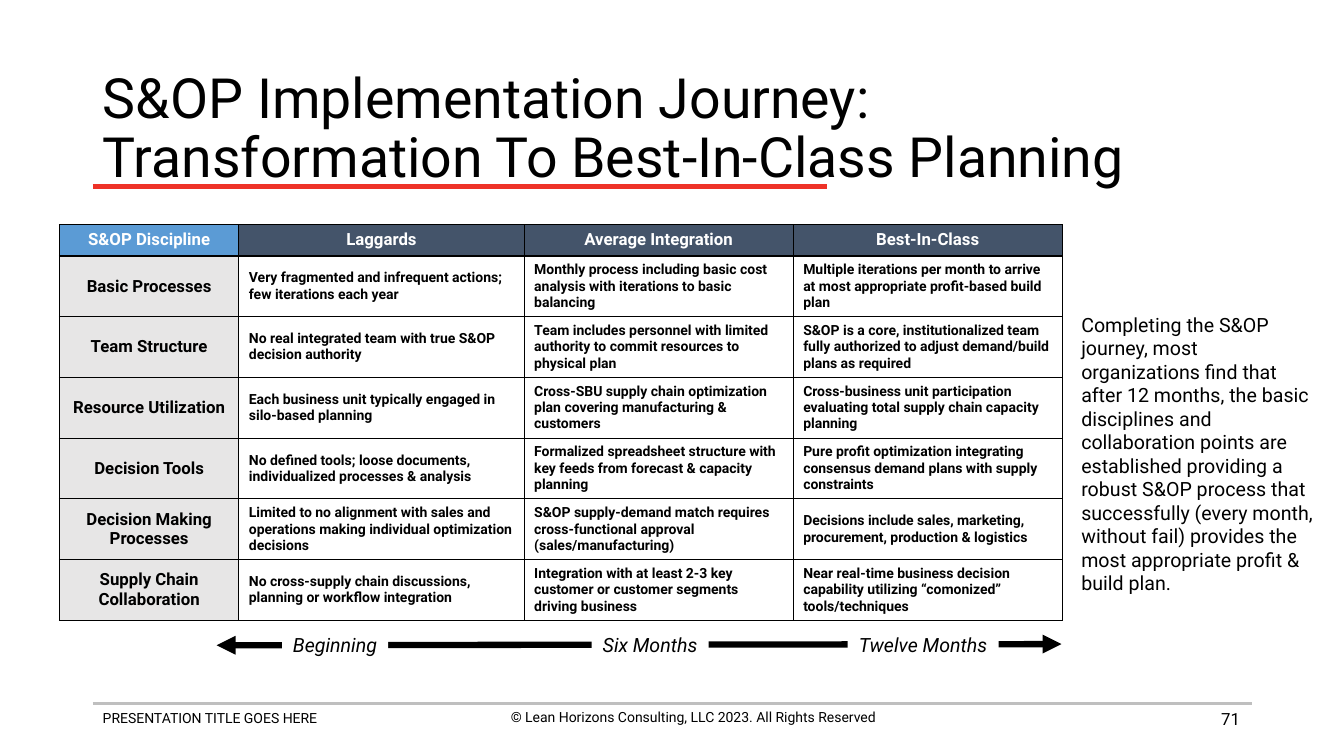
from lxml import etree
from pptx import Presentation
from pptx.dml.color import RGBColor
from pptx.enum import shapes, text
from pptx.oxml.ns import qn
from pptx.util import Cm, Pt

FONT = "Roboto"
COLORS = {"black": "000000", "white": "FFFFFF", "blue": "5B9BD5", "slate": "44546A",
          "pale": "E7E6E6", "rule": "BFBFBF", "red": "EE3228"}
LEFT, CENTER, RIGHT = text.PP_ALIGN.LEFT, text.PP_ALIGN.CENTER, text.PP_ALIGN.RIGHT
TOP, MIDDLE = text.MSO_ANCHOR.TOP, text.MSO_ANCHOR.MIDDLE

TITLE = "S&OP Implementation Journey:\vTransformation To Best-In-Class Planning"
TAKEAWAY = ("Completing the S&OP journey, most organizations find that after 12 months, "
            "the basic disciplines and collaboration points are established providing a "
            "robust S&OP process that successfully (every month, without fail) provides "
            "the most appropriate profit & build plan.")
MATURITY = [
    ("S&OP Discipline", "Laggards", "Average Integration", "Best-In-Class"),
    ("Basic Processes",
     "Very fragmented and infrequent actions; few iterations each year",
     "Monthly process including basic cost analysis with iterations to basic balancing",
     "Multiple iterations per month to arrive at most appropriate profit-based build plan"),
    ("Team Structure",
     "No real integrated team with true S&OP decision authority",
     "Team includes personnel with limited authority to commit resources to physical plan",
     "S&OP is a core, institutionalized team fully authorized to adjust demand/build plans "
     "as required"),
    ("Resource Utilization",
     "Each business unit typically engaged in silo-based planning",
     "Cross-SBU supply chain optimization plan covering manufacturing & customers",
     "Cross-business unit participation evaluating total supply chain capacity planning"),
    ("Decision Tools",
     "No defined tools; loose documents, individualized processes & analysis",
     "Formalized spreadsheet structure with key feeds from forecast & capacity planning",
     "Pure profit optimization integrating consensus demand plans with supply constraints"),
    ("Decision Making Processes",
     "Limited to no alignment with sales and operations making individual optimization "
     "decisions",
     "S&OP supply-demand match requires cross-functional approval (sales/manufacturing)",
     "Decisions include sales, marketing, procurement, production & logistics"),
    ("Supply Chain Collaboration",
     "No cross-supply chain discussions, planning or workflow integration",
     "Integration with at least 2-3 key customer or customer segments driving business",
     "Near real-time business decision capability utilizing “comonized” tools/techniques"),
]
COLUMN_WIDTHS = (4.52, 7.19, 6.78, 6.78)
HEADER_HEIGHT, ROW_HEIGHT = 0.79, 1.53
# wording, left, width
MILESTONES = [("Beginning", 7.11, 2.67), ("Six Months", 14.91, 2.95),
              ("Twelve Months", 21.36, 3.81)]
# wording, (left, top, width, height), size, alignment, anchor
TEXTS = [
    ("PRESENTATION TITLE GOES HERE", (2.34, 17.75, 11.58, 1.12), 10, LEFT, TOP),
    ("© Lean Horizons Consulting, LLC 2023. All Rights Reserved",
     (11.68, 17.73, 11.58, 1.12), 10, CENTER, TOP),
    ("71", (23.88, 17.6, 7.62, 1.02), 12, RIGHT, MIDDLE),
    (TAKEAWAY, (27, 7.75, 6.43, 7.44), 14, LEFT, TOP),
]


def rgb(name):
    return RGBColor.from_string(COLORS[name])


def style(paragraph, size, color="black", align=LEFT, bold=False, italic=False):
    paragraph.alignment = align
    font = paragraph.font
    font.name, font.size, font.bold, font.italic = FONT, Pt(size), bold, italic
    font.color.rgb = rgb(color)


def add_line(slide, start, end, color, width, arrows=False):
    line = slide.shapes.add_connector(
        shapes.MSO_CONNECTOR.STRAIGHT, *(Cm(v) for v in start + end))
    line.line.color.rgb = rgb(color)
    line.line.width = Pt(width)
    properties = line._element.spPr
    if arrows:
        outline = properties.find(qn("a:ln"))
        for tag in ("a:headEnd", "a:tailEnd"):
            etree.SubElement(outline, qn(tag), type="triangle")
    etree.SubElement(properties, qn("a:effectLst"))


def add_borders(cell):
    """Draw a 1 pt black line on all four sides of a cell."""
    properties = cell._tc.get_or_add_tcPr()
    for position, tag in enumerate(("a:lnL", "a:lnR", "a:lnT", "a:lnB")):
        border = etree.Element(qn(tag), w=str(Pt(1)))
        fill = etree.SubElement(border, qn("a:solidFill"))
        etree.SubElement(fill, qn("a:srgbClr"), val=COLORS["black"])
        properties.insert(position, border)


def add_maturity_table(slide):
    heights = [HEADER_HEIGHT] + [ROW_HEIGHT] * (len(MATURITY) - 1)
    table = slide.shapes.add_table(
        len(heights), len(COLUMN_WIDTHS), Cm(1.5), Cm(5.66),
        Cm(sum(COLUMN_WIDTHS)), Cm(sum(heights))).table
    for column, width in zip(table.columns, COLUMN_WIDTHS):
        column.width = Cm(width)
    for r, (wordings, height) in enumerate(zip(MATURITY, heights)):
        table.rows[r].height = Cm(height)
        for c, wording in enumerate(wordings):
            cell = table.cell(r, c)
            cell.text = wording
            header, label = r == 0, r == 0 or c == 0
            cell.vertical_anchor = TOP if header else MIDDLE
            style(cell.text_frame.paragraphs[0], 12 if label else 10,
                  "white" if header else "black", CENTER if label else LEFT, bold=True)
            if label:
                cell.fill.solid()
                first, other = ("blue", "slate") if header else ("pale", "pale")
                cell.fill.fore_color.rgb = rgb(other if c else first)
            else:
                cell.fill.background()
            add_borders(cell)


def add_milestone(slide, wording, left, width):
    box = slide.shapes.add_shape(
        shapes.MSO_SHAPE.RECTANGLE, Cm(left), Cm(15.93), Cm(width), Cm(0.74))
    box.shadow.inherit = False
    box.fill.solid()
    box.fill.fore_color.rgb = rgb("white")
    box.line.fill.background()
    frame = box.text_frame
    frame.text = wording
    frame.word_wrap = False
    frame.vertical_anchor = TOP
    frame.paragraphs[0].line_spacing = 0.8
    style(frame.paragraphs[0], 14, align=CENTER, italic=True)


def main():
    deck = Presentation()
    deck.slide_width, deck.slide_height = Cm(33.87), Cm(19.05)
    slide = deck.slides.add_slide(deck.slide_layouts[5])

    title = slide.shapes.title
    title.left, title.top, title.width, title.height = Cm(2.34), Cm(1.88), Cm(29.21), Cm(2.79)
    title.text_frame.text = TITLE
    title.text_frame.auto_size = text.MSO_AUTO_SIZE.NONE
    title.text_frame.vertical_anchor = MIDDLE
    title.text_frame.paragraphs[0].line_spacing = 0.9
    style(title.text_frame.paragraphs[0], 39.6)

    add_line(slide, (2.34, 17.73), (31.55, 17.73), "rule", 2)
    add_line(slide, (2.34, 4.7), (20.83, 4.7), "red", 3)

    for wording, place, size, align, anchor in TEXTS:
        frame = slide.shapes.add_textbox(*(Cm(v) for v in place)).text_frame
        frame.text = wording
        frame.word_wrap = True
        frame.vertical_anchor = anchor
        style(frame.paragraphs[0], size, align=align)

    add_maturity_table(slide)
    add_line(slide, (5.46, 16.26), (26.75, 16.23), "black", 4.5, arrows=True)
    for milestone in MILESTONES:
        add_milestone(slide, *milestone)

    deck.save("out.pptx")


if __name__ == "__main__":
    main()
